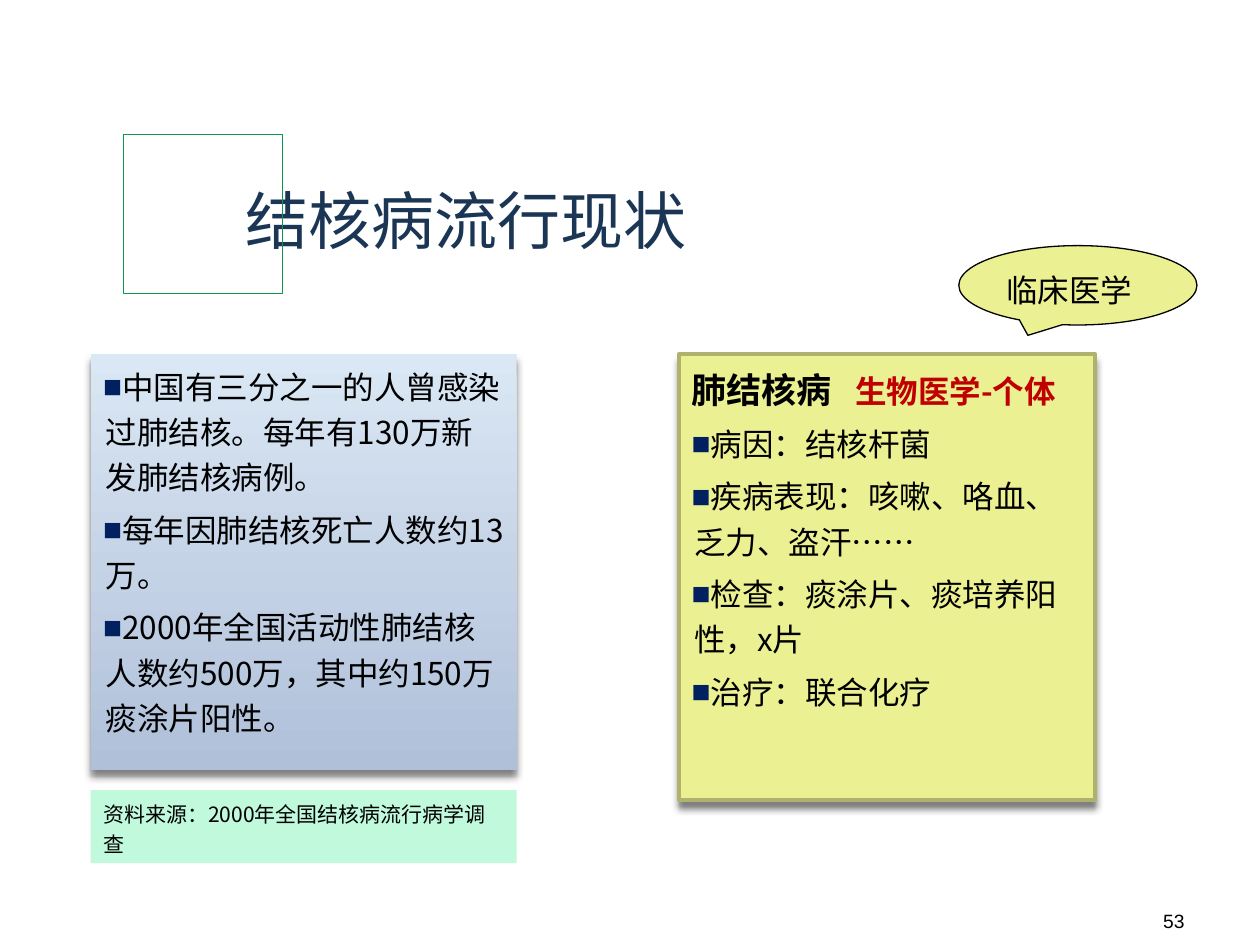
from lxml.etree import SubElement
from pptx import Presentation
from pptx.dml.color import RGBColor
from pptx.enum.shapes import MSO_SHAPE as Shape
from pptx.enum.text import MSO_ANCHOR as Anchor, PP_ALIGN as Align
from pptx.oxml.ns import qn
from pptx.util import Inches, Pt

COLORS = {
    "black": "000000", "red": "C00000", "title": "1B3655", "bullet": "002060",
    "green": "0E9651", "mint": "C0F9DC", "yellow": "EBF092", "olive": "AEB26C",
    "sky": "DAE7F4", "steel": "B0C0D9", "shadow": "808080",
}
CJK = "Noto Sans CJK SC"
FACTS = [
    "中国有三分之一的人曾感染过肺结核。每年有130万新发肺结核病例。",
    "每年因肺结核死亡人数约13万。",
    "2000年全国活动性肺结核人数约500万，其中约150万痰涂片阳性。",
]
CLINICAL = [
    "病因：结核杆菌",
    "疾病表现：咳嗽、咯血、乏力、盗汗……",
    "检查：痰涂片、痰培养阳性，x片",
    "治疗：联合化疗",
]


def color(name):
    return RGBColor.from_string(COLORS[name])


def add_span(para, text, size, name="black", bold=False, font=CJK):
    span = para.add_run()
    span.text = text
    span.font.size = Pt(size)
    span.font.name = font
    span.font.bold = bold
    span.font.color.rgb = color(name)
    SubElement(span.font._element, qn("a:ea")).set("typeface", CJK)


def set_body(para):
    para.alignment = Align.LEFT
    para.line_spacing = 1.2


def add_box(page, place, kind=Shape.RECTANGLE, fill=None, line=None, width=0.75):
    box = page.shapes.add_shape(kind, *map(Inches, place))
    box.shadow.inherit = False
    if fill:
        box.fill.solid()
        box.fill.fore_color.rgb = color(fill)
    else:
        box.fill.background()
    if line:
        box.line.color.rgb = color(line)
        box.line.width = Pt(width)
    else:
        box.line.fill.background()
    frame = box.text_frame
    frame.word_wrap = True
    frame.vertical_anchor = Anchor.TOP
    set_body(frame.paragraphs[0])
    return box


def drop_shadow(box):
    effects = box._element.spPr.find(qn("a:effectLst"))
    shadow = SubElement(effects, qn("a:outerShdw"), blurRad=str(Pt(4)),
                        dist=str(Pt(4)), dir="5400000", rotWithShape="0")
    SubElement(shadow, qn("a:srgbClr"), val=COLORS["shadow"])


def add_bullets(frame, items, first):
    for index, item in enumerate(items):
        para = frame.paragraphs[0] if first and index == 0 else frame.add_paragraph()
        set_body(para)
        if not first or index:
            para.space_before = Pt(4)
        props = para._p.get_or_add_pPr()
        props.set("marL", str(Inches(0.02)))
        props.set("indent", str(-Inches(0.02)))
        tint = SubElement(props, qn("a:buClr"))
        SubElement(tint, qn("a:srgbClr"), val=COLORS["bullet"])
        SubElement(props, qn("a:buFont"), typeface="Arial")
        SubElement(props, qn("a:buChar"), char="■")
        add_span(para, item, 18)


def add_title(page, place):
    add_box(page, (0.98, 1.07, 1.26, 1.26), line="green", width=0.5)
    title = page.shapes.title
    title.left, title.top, title.width, title.height = map(Inches, place)
    title.text_frame.vertical_anchor = Anchor.BOTTOM
    para = title.text_frame.paragraphs[0]
    para.alignment = Align.LEFT
    add_span(para, "结核病流行现状", 36, "title", font="Arial")


def add_facts(page, place):
    box = add_box(page, place, fill="sky")
    box.fill.gradient()
    box.fill.gradient_angle = 270
    for stop, name in zip(box.fill.gradient_stops, ("sky", "steel")):
        stop.color.rgb = color(name)
    drop_shadow(box)
    add_bullets(box.text_frame, FACTS, True)


def add_clinical(page, place):
    box = add_box(page, place, fill="yellow", line="olive", width=2.25)
    drop_shadow(box)
    frame = box.text_frame
    para = frame.paragraphs[0]
    tabs = SubElement(para._p.get_or_add_pPr(), qn("a:tabLst"))
    SubElement(tabs, qn("a:tab"), pos=str(Inches(1.3)), algn="l")
    add_span(para, "肺结核病\t", 20, bold=True)
    add_span(para, "生物医学-个体", 18, "red", bold=True)
    add_bullets(frame, CLINICAL, False)


def add_source(page, place):
    box = add_box(page, place, fill="mint")
    add_span(box.text_frame.paragraphs[0], "资料来源：2000年全国结核病流行病学调查", 12)


def add_callout(page, place):
    box = add_box(page, place, Shape.OVAL_CALLOUT, "yellow", "black")
    box.adjustments[0] = -0.21
    box.adjustments[1] = 0.63
    add_span(box.text_frame.paragraphs[0], "临床医学", 18, font="Arial")


def add_number(page, place):
    box = page.shapes.add_textbox(*map(Inches, place))
    box.text_frame.word_wrap = True
    box.text_frame.margin_top = Inches(0.08)
    para = box.text_frame.paragraphs[0]
    para.alignment = Align.RIGHT
    add_span(para, "53", 11, font="Arial")


def main():
    deck = Presentation()
    deck.slide_width, deck.slide_height = Inches(10), Inches(7.5)
    page = deck.slides.add_slide(deck.slide_layouts[5])
    add_title(page, (1.85, 1.3, 6.61, 0.79))
    add_facts(page, (0.72, 2.81, 3.38, 3.3))
    add_clinical(page, (5.39, 2.81, 3.3, 3.54))
    add_source(page, (0.72, 6.27, 3.38, 0.58))
    add_callout(page, (7.61, 1.95, 1.89, 0.63))
    add_number(page, (7.17, 7.14, 2.33, 0.28))
    deck.save("out.pptx")


if __name__ == "__main__":
    main()
